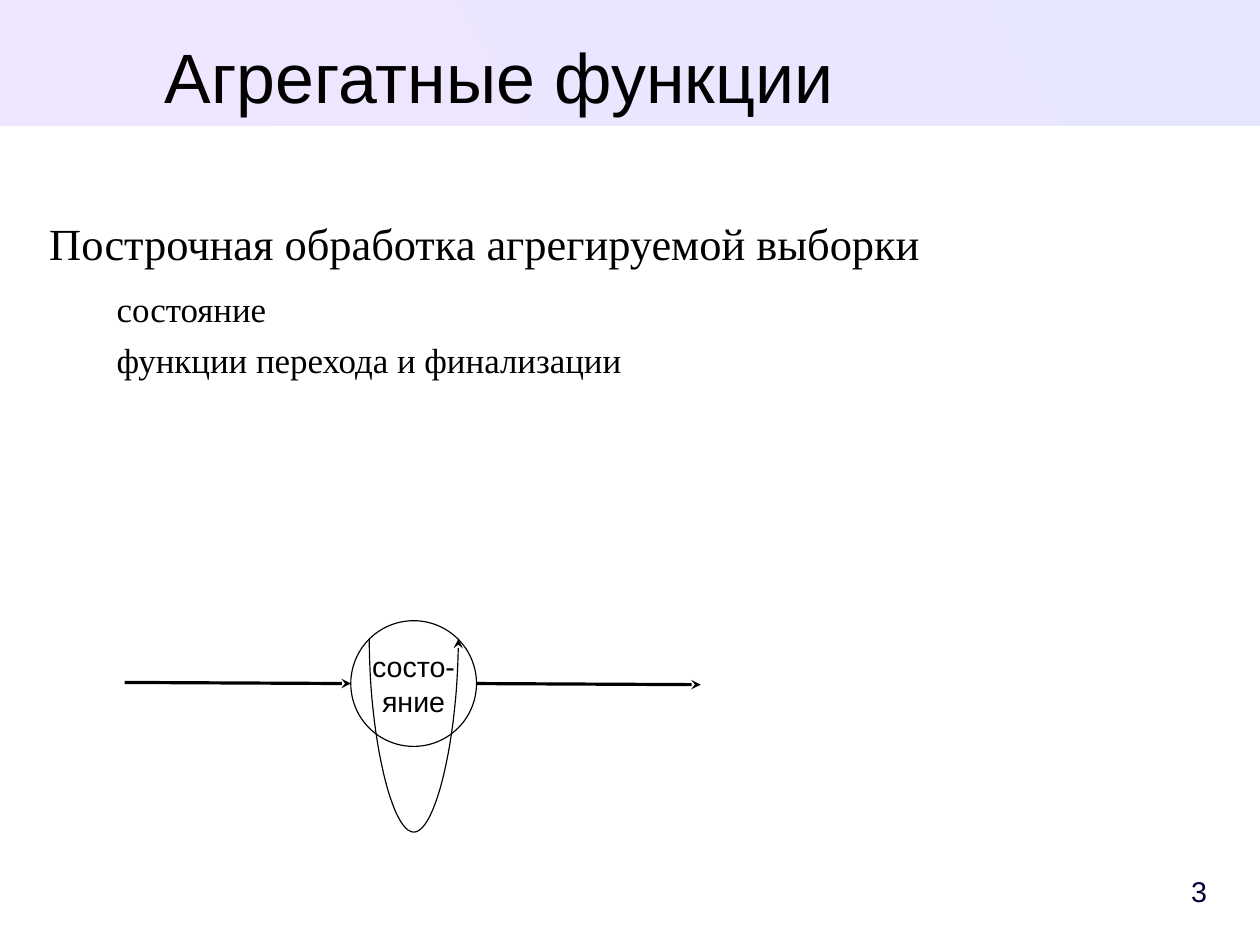
from pptx import Presentation
from pptx.dml.color import RGBColor
from pptx.enum.shapes import MSO_CONNECTOR, MSO_SHAPE
from pptx.enum.text import MSO_ANCHOR, PP_ALIGN
from pptx.oxml.ns import qn
from pptx.util import Pt
from lxml.etree import SubElement

PAGE_WIDTH, PAGE_HEIGHT = 793.7, 595.28
BLACK, WHITE = "000000", "FFFFFF"
ARIAL, TIMES = "Arial", "Times New Roman"
STATE_LEFT, STATE_TOP, STATE_SIZE = 221, 391, 79.2


def colour(value):
    return RGBColor.from_string(value)


def set_all(target, values):
    for name, value in values.items():
        setattr(target, name, value)


def write(frame, lines, margins=(0, 0, 0, 0), **frame_format):
    """Fill a frame with (text, font, size, colour, paragraph format, indent)."""
    sides = ("margin_left", "margin_top", "margin_right", "margin_bottom")
    set_all(frame, dict(zip(sides, map(Pt, margins))))
    set_all(frame, {"word_wrap": True, **frame_format})
    for number, (text, font, size, ink, layout, indent) in enumerate(lines):
        para = frame.add_paragraph() if number else frame.paragraphs[0]
        set_all(para, layout)
        if indent:
            properties = para._p.get_or_add_pPr()
            properties.set("marL", str(Pt(indent)))
            properties.set("indent", "0")
        span = para.add_run()
        span.text = text
        set_all(span.font, {"name": font, "size": Pt(size)})
        span.font.color.rgb = colour(ink)


def add_text(page, place, lines, **frame_format):
    box = page.shapes.add_textbox(*map(Pt, place))
    write(box.text_frame, lines, **frame_format)


def add_plain_shape(page, kind, place):
    shape = page.shapes.add_shape(kind, *map(Pt, place))
    shape.shadow.inherit = False
    return shape


def draw_hairline(line, arrow=False):
    line.color.rgb = colour(BLACK)
    line.width = Pt(0)
    if arrow:
        SubElement(line._get_or_add_ln(), qn("a:tailEnd"), type="stealth")


def add_band(page):
    band = add_plain_shape(page, MSO_SHAPE.RECTANGLE, (0, 0, PAGE_WIDTH, 79.2))
    band.line.fill.background()
    band.fill.gradient()
    band.fill.gradient_angle = 210
    for stop, value in zip(band.fill.gradient_stops, ("E6E6FF", "F0E6FF")):
        stop.color.rgb = colour(value)


def add_state(page):
    place = (STATE_LEFT, STATE_TOP, STATE_SIZE, STATE_SIZE)
    state = add_plain_shape(page, MSO_SHAPE.OVAL, place)
    state.fill.solid()
    state.fill.fore_color.rgb = colour(WHITE)
    draw_hairline(state.line)
    centred = {"alignment": PP_ALIGN.CENTER}
    lines = [(text, ARIAL, 18, BLACK, centred, 0) for text in ("состо-", "яние")]
    write(state.text_frame, lines, margins=(7.2, 3.6, 7.2, 3.6),
          word_wrap=False, vertical_anchor=MSO_ANCHOR.MIDDLE)


def add_arrow(page, *ends):
    arrow = page.shapes.add_connector(MSO_CONNECTOR.STRAIGHT, *map(Pt, ends))
    draw_hairline(arrow.line, arrow=True)
    SubElement(arrow._element.spPr, qn("a:effectLst"))


def bezier(controls, t):
    weights = ((1 - t) ** 3, 3 * t * (1 - t) ** 2, 3 * t * t * (1 - t), t ** 3)
    return tuple(sum(w * value for w, value in zip(weights, axis))
                 for axis in zip(*controls))


def add_loop(page, left, right, top, bottom, steps=24):
    """Draw a U-shaped arrow from the left end down and up to the right end."""
    middle = (left + right) / 2
    controls = ((left, top), (left, (top + bottom) / 2),
                ((left + middle) / 2, bottom), (middle, bottom))
    down = [bezier(controls, step / steps) for step in range(steps + 1)]
    up = [(left + right - x, y) for x, y in reversed(down[:-1])]
    start, *others = [(Pt(x), Pt(y)) for x, y in down + up]
    builder = page.shapes.build_freeform(*start)
    builder.add_line_segments(others, close=False)
    loop = builder.convert_to_shape()
    loop.shadow.inherit = False
    loop.fill.background()
    draw_hairline(loop.line, arrow=True)


def main():
    deck = Presentation()
    set_all(deck, {"slide_width": Pt(PAGE_WIDTH), "slide_height": Pt(PAGE_HEIGHT)})
    page = deck.slides.add_slide(deck.slide_layouts[6])

    add_band(page)
    add_text(page, (697.7, 544.3, 62.6, 33.8),
             [("3", ARIAL, 18, "000033", {"alignment": PP_ALIGN.RIGHT}, 0)],
             margins=(7.2, 3.6, 0, 3.6), vertical_anchor=MSO_ANCHOR.MIDDLE)
    add_text(page, (33.8, 20.9, 561.6, 49.7),
             [("Агрегатные функции", ARIAL, 44, BLACK,
               {"alignment": PP_ALIGN.CENTER}, 0)])

    detail = {"level": 1, "space_after": Pt(5.7)}
    add_text(page, (31, 136.1, 725.8, 411.1), [
        ("Построчная обработка агрегируемой выборки", TIMES, 28, BLACK,
         {"space_after": Pt(11.3)}, 0),
        ("состояние", TIMES, 22, BLACK, detail, 42.5),
        ("функции перехода и финализации", TIMES, 22, BLACK, detail, 42.5),
    ])

    add_state(page)
    middle = STATE_TOP + STATE_SIZE / 2
    add_arrow(page, 78.5, middle - 0.7, STATE_LEFT, middle)
    add_arrow(page, STATE_LEFT + STATE_SIZE, middle, 441.4, middle + 0.7)
    add_loop(page, left=232.6, right=288.7, top=402.5, bottom=524.2)
    deck.save("out.pptx")


if __name__ == "__main__":
    main()
